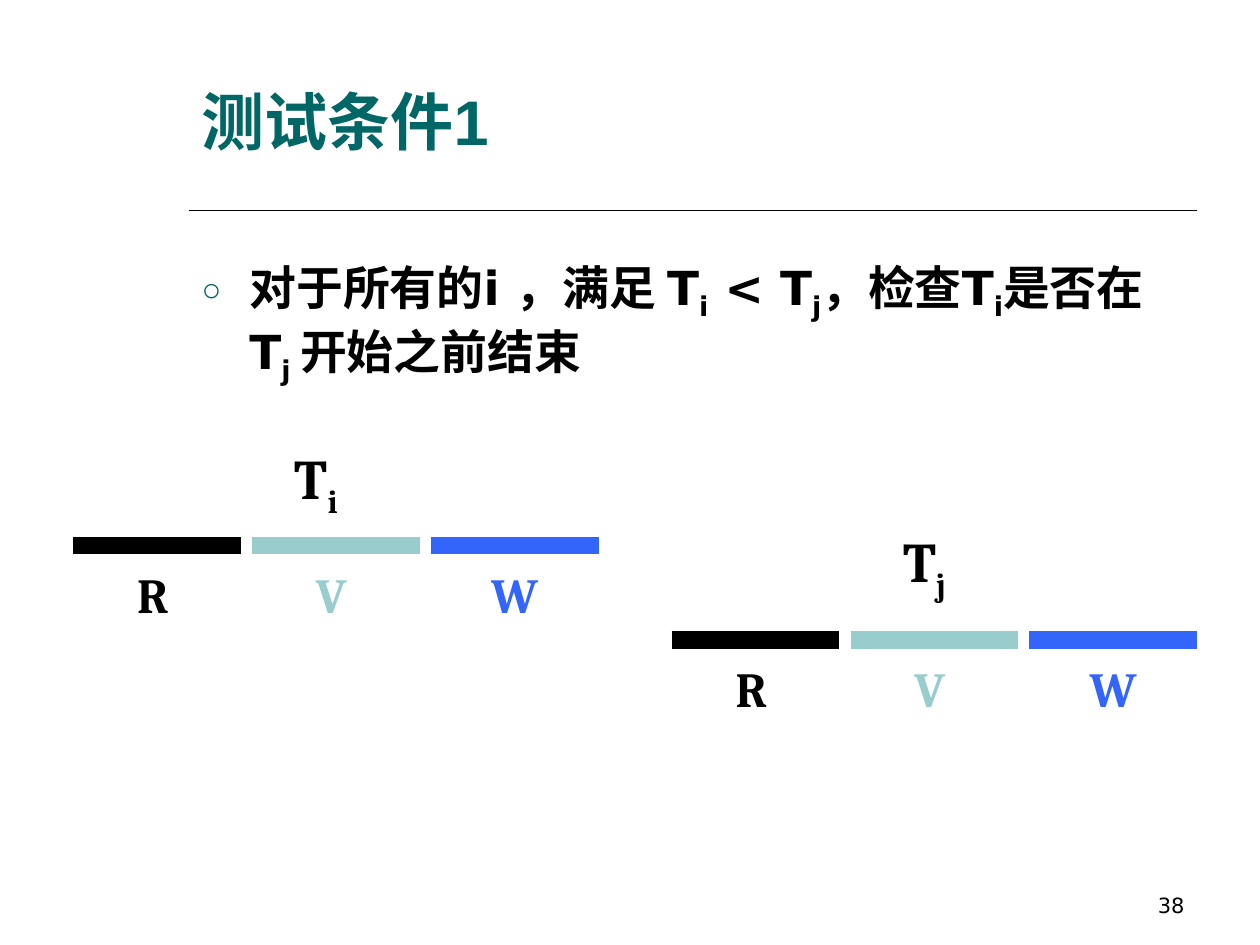
from dataclasses import dataclass

from lxml import etree
from pptx import Presentation
from pptx.dml.color import RGBColor
from pptx.enum.shapes import MSO_CONNECTOR
from pptx.enum.text import MSO_ANCHOR, MSO_AUTO_SIZE, PP_ALIGN
from pptx.oxml import parse_xml
from pptx.oxml.ns import nsdecls, qn
from pptx.util import Inches, Pt

STRAIGHT = MSO_CONNECTOR.STRAIGHT
TOP, MIDDLE, BOTTOM = MSO_ANCHOR.TOP, MSO_ANCHOR.MIDDLE, MSO_ANCHOR.BOTTOM
LEFT, RIGHT = PP_ALIGN.LEFT, PP_ALIGN.RIGHT
FIXED = MSO_AUTO_SIZE.NONE

BLACK = RGBColor(0x00, 0x00, 0x00)
TEAL = RGBColor(0x00, 0x66, 0x66)
AQUA = RGBColor(0x99, 0xCC, 0xCC)
BLUE = RGBColor(0x33, 0x65, 0xFB)

HEAD = {"name": "Arial", "size": Pt(36), "bold": True}
BODY = {"name": "DejaVu Sans", "size": Pt(26.8), "bold": True}
PAGE = {"name": "DejaVu Sans", "size": Pt(12), "bold": False}
NAME = {"name": "Cambria", "size": Pt(32), "bold": True}
MARK = {"name": "Cambria", "size": Pt(28), "bold": True}

BAR = 1.33
STEP = 1.42


@dataclass
class Phase:
    label: str
    color: RGBColor
    shift: float
    width: float


@dataclass
class Span:
    """One transaction: its index letter, line start and name position."""
    index: str
    left: float
    top: float
    name_left: float
    name_top: float


PHASES = [
    Phase("R", BLACK, 0.41, 0.48),
    Phase("V", AQUA, 0.41, 0.47),
    Phase("W", BLUE, 0.38, 0.62),
]
SPANS = [
    Span("i", 0.58, 4.33, 2.24, 3.47),
    Span("j", 5.33, 5.08, 7.07, 4.13),
]


def place(shape, left: float, top: float, width: float, height: float) -> None:
    shape.left, shape.top = Inches(left), Inches(top)
    shape.width, shape.height = Inches(width), Inches(height)


def write(shape, parts: list[str], font: dict, color: RGBColor,
          align=LEFT, anchor=TOP, wrap: bool = True) -> None:
    """Fill a shape with runs; every second part is a subscript."""
    frame = shape.text_frame
    frame.auto_size, frame.word_wrap = FIXED, wrap
    frame.vertical_anchor = anchor
    para = frame.paragraphs[0]
    para.alignment = align
    para.space_before = Pt(0)
    for pos, part in enumerate(parts):
        run = para.add_run()
        run.text = part
        for key, value in font.items():
            setattr(run.font, key, value)
        run.font.color.rgb = color
        if pos % 2:
            run._r.get_or_add_rPr().set("baseline", "-25000")


def add_text(slide, box: tuple, *args, **style) -> None:
    shape = slide.shapes.add_textbox(*map(Inches, box))
    write(shape, *args, **style)


def add_line(slide, left: float, top: float, width: float,
             color: RGBColor, weight: float) -> None:
    line = slide.shapes.add_connector(
        STRAIGHT, Inches(left), Inches(top), Inches(left + width), Inches(top))
    line.line.color.rgb = color
    line.line.width = Pt(weight)
    etree.SubElement(line._element.spPr, qn("a:effectLst"))


def add_bullet(para) -> None:
    props = para._p.get_or_add_pPr()
    props.set("marL", str(Inches(0.38)))
    props.set("indent", str(Inches(-0.38)))
    for tag in (f'<a:buClr {nsdecls("a")}><a:srgbClr val="{TEAL}"/></a:buClr>',
                f'<a:buSzPct {nsdecls("a")} val="70000"/>',
                f'<a:buChar {nsdecls("a")} char="○"/>'):
        props.append(parse_xml(tag))


def add_span(slide, span: Span) -> None:
    for pos, phase in enumerate(PHASES):
        left = span.left + pos * STEP
        add_line(slide, left, span.top, BAR, phase.color, 10)
        box = (left + phase.shift, span.top + 0.1, phase.width, 0.57)
        add_text(slide, box, [phase.label], MARK, phase.color, wrap=False)
    box = (span.name_left, span.name_top, 0.58, 0.71)
    add_text(slide, box, ["T", span.index], NAME, BLACK, wrap=False)


def main() -> None:
    deck = Presentation()
    deck.slide_width, deck.slide_height = Inches(10), Inches(7.5)
    slide = deck.slides.add_slide(deck.slide_layouts[1])

    add_line(slide, 1.5, 1.67, 8, BLACK, 1)
    title, body = slide.placeholders
    place(title, 1.5, 0.33, 8, 1.25)
    write(title, ["测试条件1"], HEAD, TEAL, anchor=MIDDLE)
    place(body, 1.5, 2, 8, 1.18)
    add_bullet(body.text_frame.paragraphs[0])
    write(body, ["对于所有的i ，满足 T", "i", " < T", "j", "，检查T", "i",
                 "是否在 T", "j ", "开始之前结束"], BODY, BLACK)

    for span in SPANS:
        add_span(slide, span)
    add_text(slide, (7.17, 6.83, 2.33, 0.5), ["38"], PAGE, BLACK,
             align=RIGHT, anchor=BOTTOM)
    deck.save("out.pptx")


if __name__ == "__main__":
    main()
